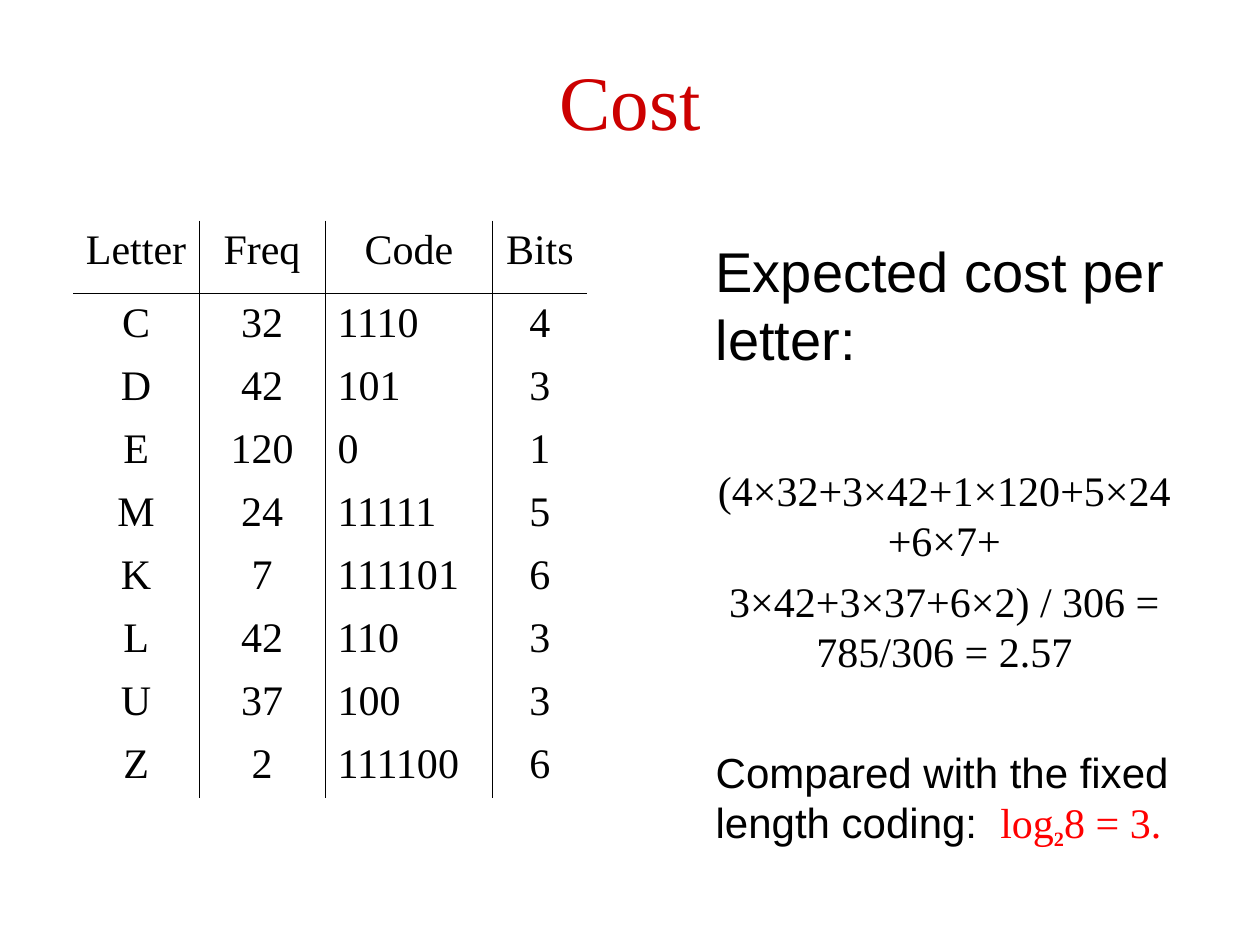
import lxml.etree
import pptx
import pptx.dml.color
import pptx.enum.text
import pptx.oxml.ns
import pptx.util

Inches = pptx.util.Inches
Pt = pptx.util.Pt
ALIGN = pptx.enum.text.PP_ALIGN
ANCHOR = pptx.enum.text.MSO_ANCHOR
qn = pptx.oxml.ns.qn

COLORS = {"title": "CC0000", "text": "000000", "result": "FF0000", "rule": "000000"}
SERIF = "Times New Roman"
NO_STYLE = "{2D5ABB26-0587-4C30-8999-92F81FD0307C}"


def set_font(font, name, size, color):
    font.name = name
    font.size = Pt(size)
    font.color.rgb = pptx.dml.color.RGBColor.from_string(COLORS[color])


def set_borders(cell, sides):
    properties = cell._tc.get_or_add_tcPr()
    for position, side in enumerate(("L", "R", "T", "B")):
        line = lxml.etree.Element(qn(f"a:ln{side}"), w=str(Pt(0.45)))
        if side in sides:
            fill = lxml.etree.SubElement(line, qn("a:solidFill"))
            lxml.etree.SubElement(fill, qn("a:srgbClr"), val=COLORS["rule"])
        else:
            lxml.etree.SubElement(line, qn("a:noFill"))
        properties.insert(position, line)


deck = pptx.Presentation()
deck.slide_width = Inches(10)
deck.slide_height = Inches(7.5)
page = deck.slides.add_slide(deck.slide_layouts[0])

title = page.shapes.title
title.left, title.top = Inches(0.75), Inches(0.17)
title.width, title.height = Inches(8.5), Inches(1.25)
title.text_frame.text = "Cost"
title.text_frame.vertical_anchor = ANCHOR.MIDDLE
title.text_frame.paragraphs[0].alignment = ALIGN.CENTER
set_font(title.text_frame.paragraphs[0].font, SERIF, 44, "title")

body = page.placeholders[1]
body.left, body.top = Inches(5.58), Inches(1.83)
body.width, body.height = Inches(3.83), Inches(5.3)
frame = body.text_frame
frame.auto_size = pptx.enum.text.MSO_AUTO_SIZE.NONE
frame.vertical_anchor = ANCHOR.TOP
body_lines = [
    ("Expected cost per letter:", "Arial", 32, ALIGN.LEFT, 0),
    ("(4×32+3×42+1×120+5×24+6×7+", SERIF, 24, ALIGN.CENTER, 53),
    ("3×42+3×37+6×2) / 306 = 785/306 = 2.57", SERIF, 24, ALIGN.CENTER, 6),
    ("Compared with the fixed length coding:", "Arial", 24, ALIGN.LEFT, 40),
]
frame.text = "\n".join(line[0] for line in body_lines)
for para, (text, font_name, size, alignment, before) in zip(frame.paragraphs, body_lines):
    para.alignment = alignment
    para.space_before = Pt(before)
    set_font(para.font, font_name, size, "text")

rows = [
    ("Letter", "Freq", "Code", "Bits"),
    ("C", "32", "1110", "4"),
    ("D", "42", "101", "3"),
    ("E", "120", "0", "1"),
    ("M", "24", "11111", "5"),
    ("K", "7", "111101", "6"),
    ("L", "42", "110", "3"),
    ("U", "37", "100", "3"),
    ("Z", "2", "111100", "6"),
]
column_widths = [1, 1, 1.33, 0.75]
table = page.shapes.add_table(
    len(rows), len(column_widths), Inches(0.58), Inches(1.75), Inches(4.08), Inches(4.58)
).table
table.first_row = False
table.horz_banding = False
table._tbl.tblPr.find(qn("a:tableStyleId")).text = NO_STYLE
for column, width in zip(table.columns, column_widths):
    column.width = Inches(width)
for row_index, values in enumerate(rows):
    table.rows[row_index].height = Inches(0.5 if row_index else 0.58)
    for column_index, value in enumerate(values):
        cell = table.cell(row_index, column_index)
        cell.text = value
        cell.fill.background()
        para = cell.text_frame.paragraphs[0]
        is_code = row_index > 0 and column_index == 2
        para.alignment = ALIGN.LEFT if is_code else ALIGN.CENTER
        set_font(para.font, SERIF, 24, "text")
        sides = "L" if column_index > 0 else ""
        sides += "R" if column_index < len(column_widths) - 1 else ""
        sides += {0: "B", 1: "T"}.get(row_index, "")
        set_borders(cell, sides)

result = page.shapes.add_textbox(Inches(7.84), Inches(6.27), Inches(1.48), Inches(0.54))
result.text_frame.word_wrap = False
para = result.text_frame.paragraphs[0]
for text, size in (("log", 24), ("2", 20), ("8 = 3.", 24)):
    span = para.add_run()
    span.text = text
    set_font(span.font, SERIF, size, "result")
subscript = para.runs[1]
subscript.font.bold = True
subscript._r.get_or_add_rPr().set("baseline", "-25000")

deck.save("out.pptx")
